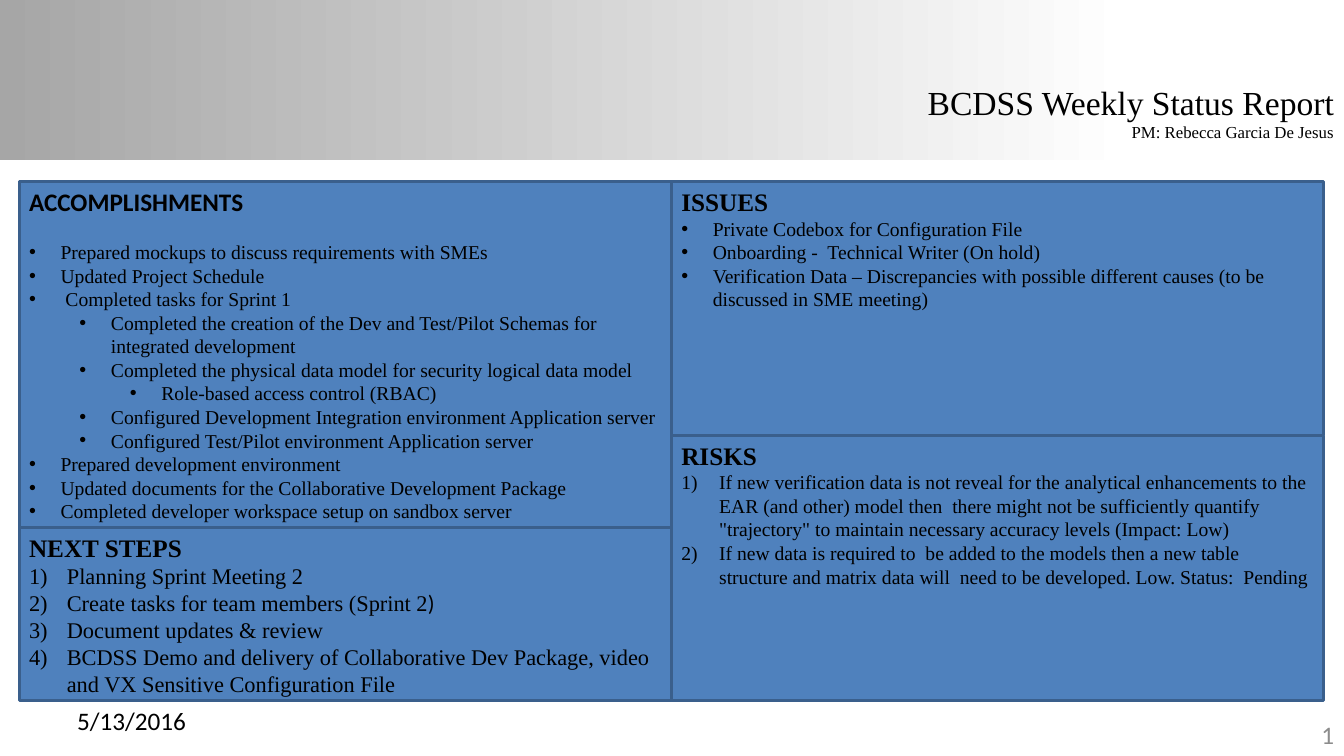
from dataclasses import dataclass

from lxml import etree
from pptx import Presentation, util as u
from pptx.dml.color import RGBColor
from pptx.enum import shapes, text
from pptx.oxml import ns


@dataclass(frozen=True)
class Theme:
    serif: str = "Times New Roman"
    sans: str = "Calibri"
    ink: str = "000000"
    muted: str = "8C8C8C"
    panel: str = "4F81BD"
    border: str = "3A5F8C"
    band_start: str = "A6A6A6"
    band_end: str = "FFFFFF"
    title: int = 24
    heading: int = 18
    large: int = 16
    body: int = 14
    small: int = 12


BULLET = ("buChar", {"char": "•"}, 22.5)
NUMBER = ("buAutoNum", {"type": "arabicParenR"}, 27)
LEVEL_STEP = 36


class StatusSlide:
    def __init__(self, presentation, theme):
        self.theme = theme
        self.slide = presentation.slides.add_slide(presentation.slide_layouts[6])

    def style(self, paragraph, size, font, color=None, bold=False):
        paragraph.font.size = u.Pt(size)
        paragraph.font.name = font
        paragraph.font.bold = bold
        paragraph.font.color.rgb = RGBColor.from_string(color or self.theme.ink)

    def rectangle(self, left, top, width, height):
        shape = self.slide.shapes.add_shape(
            shapes.MSO_SHAPE.RECTANGLE,
            u.Pt(left), u.Pt(top), u.Pt(width), u.Pt(height))
        shape.shadow.inherit = False
        return shape

    def band(self, width, height):
        shape = self.rectangle(0, 0, width, height)
        shape.line.fill.background()
        shape.fill.gradient()
        shape.fill.gradient_angle = 0
        colors = (self.theme.band_start, self.theme.band_end)
        for stop, color, position in zip(shape.fill.gradient_stops, colors, (0, 0.84)):
            stop.color.rgb = RGBColor.from_string(color)
            stop.position = position

    def label(self, left, top, width, height, lines, align, color=None,
              anchor=text.MSO_ANCHOR.MIDDLE, wrap=True):
        """Each line is (words, size, font)."""
        shape = self.slide.shapes.add_textbox(
            u.Pt(left), u.Pt(top), u.Pt(width), u.Pt(height))
        frame = shape.text_frame
        frame.word_wrap = wrap
        frame.vertical_anchor = anchor
        frame.text = "\n".join(words for words, _, _ in lines)
        for paragraph, (_, size, font) in zip(frame.paragraphs, lines):
            paragraph.alignment = align
            self.style(paragraph, size, font, color)

    def list_item(self, paragraph, marker, level, size):
        tag, attributes, indent = marker
        paragraph.level = level
        properties = paragraph._p.get_or_add_pPr()
        properties.set("marL", str(u.Pt(indent + level * LEVEL_STEP)))
        properties.set("indent", str(-u.Pt(indent)))
        if marker is BULLET:
            etree.SubElement(properties, ns.qn("a:buFont"), typeface="Arial")
        etree.SubElement(properties, ns.qn("a:" + tag), attributes)
        self.style(paragraph, size, self.theme.serif)

    def panel(self, left, top, width, height, heading, marker, items, size,
              heading_font=None, gap=0):
        """Each item is (level, words)."""
        shape = self.rectangle(left, top, width, height)
        shape.fill.solid()
        shape.fill.fore_color.rgb = RGBColor.from_string(self.theme.panel)
        shape.line.color.rgb = RGBColor.from_string(self.theme.border)
        shape.line.width = u.Pt(2)
        frame = shape.text_frame
        frame.word_wrap = True
        frame.vertical_anchor = text.MSO_ANCHOR.TOP
        frame.text = "\n".join([heading] + [words for _, words in items])
        for paragraph in frame.paragraphs:
            paragraph.alignment = text.PP_ALIGN.LEFT
        title, *entries = frame.paragraphs
        title.space_after = u.Pt(gap)
        self.style(title, self.theme.heading, heading_font or self.theme.serif, bold=True)
        for paragraph, (level, _) in zip(entries, items):
            self.list_item(paragraph, marker, level, size)
        return entries


ACCOMPLISHMENTS = [
    (0, "Prepared mockups to discuss requirements with SMEs"),
    (0, "Updated Project Schedule"),
    (0, " Completed tasks for Sprint 1"),
    (1, "Completed the creation of the Dev and Test/Pilot Schemas for integrated development"),
    (1, "Completed the physical data model for security logical data model"),
    (2, "Role-based access control (RBAC)"),
    (1, "Configured Development Integration environment Application server"),
    (1, "Configured Test/Pilot environment Application server"),
    (0, "Prepared development environment"),
    (0, "Updated documents for the Collaborative Development Package"),
    (0, "Completed developer workspace setup on sandbox server"),
]
NEXT_STEPS = [
    (0, "Planning Sprint Meeting 2"),
    (0, "Create tasks for team members (Sprint 2"),
    (0, "Document updates & review"),
    (0, "BCDSS Demo and delivery of Collaborative Dev Package, video and VX Sensitive "
        "Configuration File"),
]
ISSUES = [
    (0, "Private Codebox for Configuration File"),
    (0, "Onboarding -  Technical Writer (On hold)"),
    (0, "Verification Data – Discrepancies with possible different causes (to be discussed "
        "in SME meeting)"),
]
RISKS = [
    (0, "If new verification data is not reveal for the analytical enhancements to the EAR "
        "(and other) model then  there might not be sufficiently quantify \"trajectory\" to "
        "maintain necessary accuracy levels (Impact: Low)"),
    (0, "If new data is required to  be added to the models then a new table structure and "
        "matrix data will  need to be developed. Low. Status:  Pending"),
]


def main():
    presentation = Presentation()
    presentation.slide_width, presentation.slide_height = u.Pt(960), u.Pt(540)
    theme = Theme()
    page = StatusSlide(presentation, theme)
    left_align, right_align = text.PP_ALIGN.LEFT, text.PP_ALIGN.RIGHT

    # Header band, page number, date and title
    page.band(960, 114)
    page.label(736, 510.5, 224, 28.8, [("1", theme.heading, theme.sans)],
               right_align, theme.muted)
    page.label(48, 500.4, 224, 28.8, [("5/13/2016", theme.heading, theme.sans)], left_align)
    page.label(652.5, 54.7, 307.5, 51.1,
               [("BCDSS Weekly Status Report", theme.title, theme.serif),
                ("PM: Rebecca Garcia De Jesus", theme.small, theme.serif)],
               right_align, anchor=text.MSO_ANCHOR.TOP, wrap=False)

    # Four panels in two columns
    left, middle, width = 13.7, 479.6, 465.9
    top, issues_end, steps_top, bottom = 129.6, 310.8, 376.6, 500.4
    page.panel(left, top, width, steps_top - top, "ACCOMPLISHMENTS", BULLET,
               ACCOMPLISHMENTS, theme.body, heading_font=theme.sans, gap=16.8)
    steps = page.panel(left, steps_top, width, bottom - steps_top, "NEXT STEPS", NUMBER,
                       NEXT_STEPS, theme.large)
    page.panel(middle, top, width, issues_end - top, "ISSUES", BULLET, ISSUES, theme.body)
    page.panel(middle, issues_end, width, bottom - issues_end, "RISKS", NUMBER,
               RISKS, theme.body)

    # The closing bracket of the second step is set in the sans font
    bracket = steps[1].add_run()
    bracket.text = ")"
    bracket.font.name = theme.sans

    presentation.save("out.pptx")


if __name__ == "__main__":
    main()
